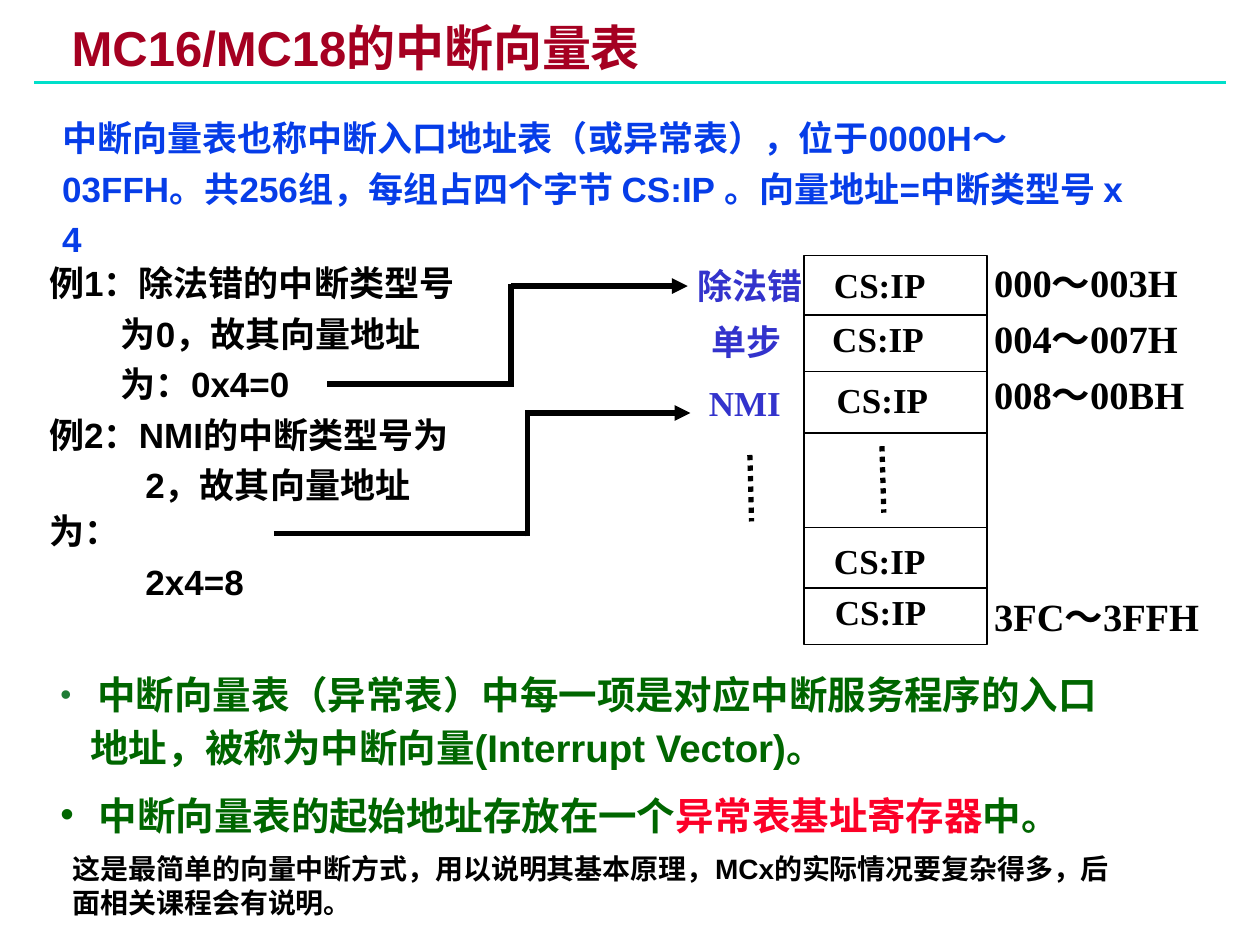
from lxml.etree import SubElement
from pptx import Presentation
from pptx.dml.color import RGBColor
from pptx.enum.dml import MSO_LINE
from pptx.enum.shapes import MSO_CONNECTOR, MSO_SHAPE
from pptx.enum.text import MSO_ANCHOR, PP_ALIGN
from pptx.oxml.ns import qn
from pptx.util import Pt

SERIF = "Times New Roman"
BLACK, RED, TITLE_RED = "000000", "FC0128", "A50021"
BLUE, LABEL_BLUE, TEAL = "063DE8", "3333CC", "00DFCA"
GREEN, BULLET_GREEN = "006600", "1E7C34"


def rgb(value):
    return RGBColor.from_string(value)


def write(paragraph, text, size=20, color=BLACK, font="Arial", bold=True):
    for number, part in enumerate(text.split("\n")):
        if number:
            paragraph.add_line_break()
        run = paragraph.add_run()
        run.text = part
        run.font.size = Pt(size)
        run.font.name = font
        run.font.bold = bold
        run.font.color.rgb = rgb(color)


def arrange(paragraph, line=None, before=0, margin=0, indent=0, bullet=None):
    paragraph.alignment = PP_ALIGN.LEFT
    paragraph.space_before = Pt(before)
    if line:
        paragraph.line_spacing = line
    properties = paragraph._p.get_or_add_pPr()
    properties.set("marL", str(Pt(margin)))
    properties.set("indent", str(Pt(indent)))
    if bullet:
        bullet_color = SubElement(properties, qn("a:buClr"))
        SubElement(bullet_color, qn("a:srgbClr"), val=bullet)
        SubElement(properties, qn("a:buFont"), typeface="Arial")
        SubElement(properties, qn("a:buChar"), char="•")


class Deck:
    def __init__(self):
        self.presentation = Presentation()
        self.presentation.slide_width = Pt(720)
        self.presentation.slide_height = Pt(540)
        layout = self.presentation.slide_layouts[5]
        self.slide = self.presentation.slides.add_slide(layout)

    def title(self, text, left, top, width, height):
        shape = self.slide.shapes.title
        shape.left, shape.top = Pt(left), Pt(top)
        shape.width, shape.height = Pt(width), Pt(height)
        frame = shape.text_frame
        frame.vertical_anchor = MSO_ANCHOR.MIDDLE
        frame.margin_left = frame.margin_right = Pt(5)
        frame.margin_top = frame.margin_bottom = Pt(2)
        arrange(frame.paragraphs[0], line=0.87)
        write(frame.paragraphs[0], text, size=28, color=TITLE_RED)

    def box(self, left, top, width, height):
        shape = self.slide.shapes.add_textbox(Pt(left), Pt(top), Pt(width), Pt(height))
        shape.text_frame.word_wrap = True
        return shape.text_frame

    def text(self, text, left, top, width=92, height=32, line=None, **style):
        paragraph = self.box(left, top, width, height).paragraphs[0]
        arrange(paragraph, line=line)
        write(paragraph, text, **style)

    def rectangle(self, left, top, width, height):
        shape = self.slide.shapes.add_shape(
            MSO_SHAPE.RECTANGLE, Pt(left), Pt(top), Pt(width), Pt(height))
        shape.shadow.inherit = False
        shape.fill.background()
        shape.line.color.rgb = rgb(BLACK)
        shape.line.width = Pt(0.75)

    def line(self, x1, y1, x2, y2, width=3, color=BLACK, dotted=False, arrow=False):
        connector = self.slide.shapes.add_connector(
            MSO_CONNECTOR.STRAIGHT, Pt(x1), Pt(y1), Pt(x2), Pt(y2))
        connector.line.color.rgb = rgb(color)
        connector.line.width = Pt(width)
        if dotted:
            connector.line.dash_style = MSO_LINE.ROUND_DOT
        if arrow:
            SubElement(connector.line._get_or_add_ln(), qn("a:tailEnd"), type="triangle")
        SubElement(connector._element.spPr, qn("a:effectLst"))

    def stepped_arrow(self, start, bend, end, low, high):
        self.line(start, low, bend, low)
        # Half a line width more at each end closes the corners
        self.line(bend, low + 1.5, bend, high - 1.5)
        self.line(bend, high, end, high, arrow=True)


def main():
    deck = Deck()

    # Title and rule
    deck.line(19.5, 47, 700.5, 47, width=1.5, color=TEAL)
    deck.title("MC16/MC18的中断向量表", 36, 13, 630, 33)

    # Introduction
    deck.text("中断向量表也称中断入口地址表（或异常表），位于0000H～03FFH。"
              "共256组，每组占四个字节 CS:IP 。向量地址=中断类型号 x 4",
              28.5, 58.5, 634, 65, line=1.2, color=BLUE)

    # Examples: text and first-line indent
    examples = [
        ("例1：除法错的中断类型号", 0),
        ("为0，故其向量地址", 41),
        ("为：0x4=0", 41),
        ("例2：NMI的中断类型号为", 0),
        ("2，故其向量地址\n为：", 55),
        ("2x4=8", 55),
    ]
    frame = deck.box(21, 143.5, 264, 204)
    for number, (text, indent) in enumerate(examples):
        paragraph = frame.add_paragraph() if number else frame.paragraphs[0]
        arrange(paragraph, line=1.1, before=2.5 if number else 0, indent=indent)
        write(paragraph, text)

    # Vector table
    left, top, width, bottom = 459.5, 146, 104.5, 368.5
    deck.rectangle(left, top, width, bottom - top)
    for y in (180, 212.5, 247.5, 301.5, 336):
        deck.line(left, y, left + width, y, width=0.75)
    for x, y in ((469.5, 147), (468.5, 178), (471, 213), (469.5, 304.5), (470, 334)):
        deck.text("CS:IP", x, y, font=SERIF)

    # Names of the vectors
    for name, x, y in (("除法错", 391.5, 147.5), ("单步", 399.5, 179.5), ("NMI", 398, 214.5)):
        deck.text(name, x, y, font=SERIF, color=LABEL_BLUE)

    # Continuation dots
    deck.line(504, 255, 505, 293, dotted=True)
    deck.line(428.5, 260, 429.5, 298, dotted=True)

    # Address ranges: the last one sits beside the bottom row
    frame = deck.box(561, 144.5, 150.5, 257)
    ranges = [("000～003H", 0), ("004～007H", 5.5), ("008～00BH", 5.5), ("3FC～3FFH", 100.5)]
    for number, (text, before) in enumerate(ranges):
        paragraph = frame.add_paragraph() if number else frame.paragraphs[0]
        arrange(paragraph, before=before)
        write(paragraph, text, size=22, font=SERIF)

    # Arrows from the examples to the table
    deck.stepped_arrow(187, 292, 393, low=219.5, high=163.5)
    deck.stepped_arrow(156.5, 301.5, 394.5, low=305, high=236)

    # Conclusions
    frame = deck.box(27.5, 376, 620.5, 106.5)
    first, second = frame.paragraphs[0], frame.add_paragraph()
    arrange(first, line=1.15, margin=17, indent=-17, bullet=BULLET_GREEN)
    write(first, " ", size=18, font=SERIF, color=BULLET_GREEN)
    write(first, "中断向量表（异常表）中每一项是对应中断服务程序的入口地址，"
                 "被称为中断向量(Interrupt Vector)。", size=22, color=GREEN)
    arrange(second, line=1.15, before=8.2, margin=17, indent=-17, bullet=GREEN)
    for text, color in ((" 中断向量表的起始地址存放在一个", GREEN),
                        ("异常表基址寄存器", RED), ("中。", GREEN)):
        write(second, text, size=22, color=color)

    # Remark
    deck.text("这是最简单的向量中断方式，用以说明其基本原理，"
              "MCx的实际情况要复杂得多，后面相关课程会有说明。",
              34.5, 483, 621.5, 46, size=16)

    deck.presentation.save("out.pptx")


if __name__ == "__main__":
    main()
